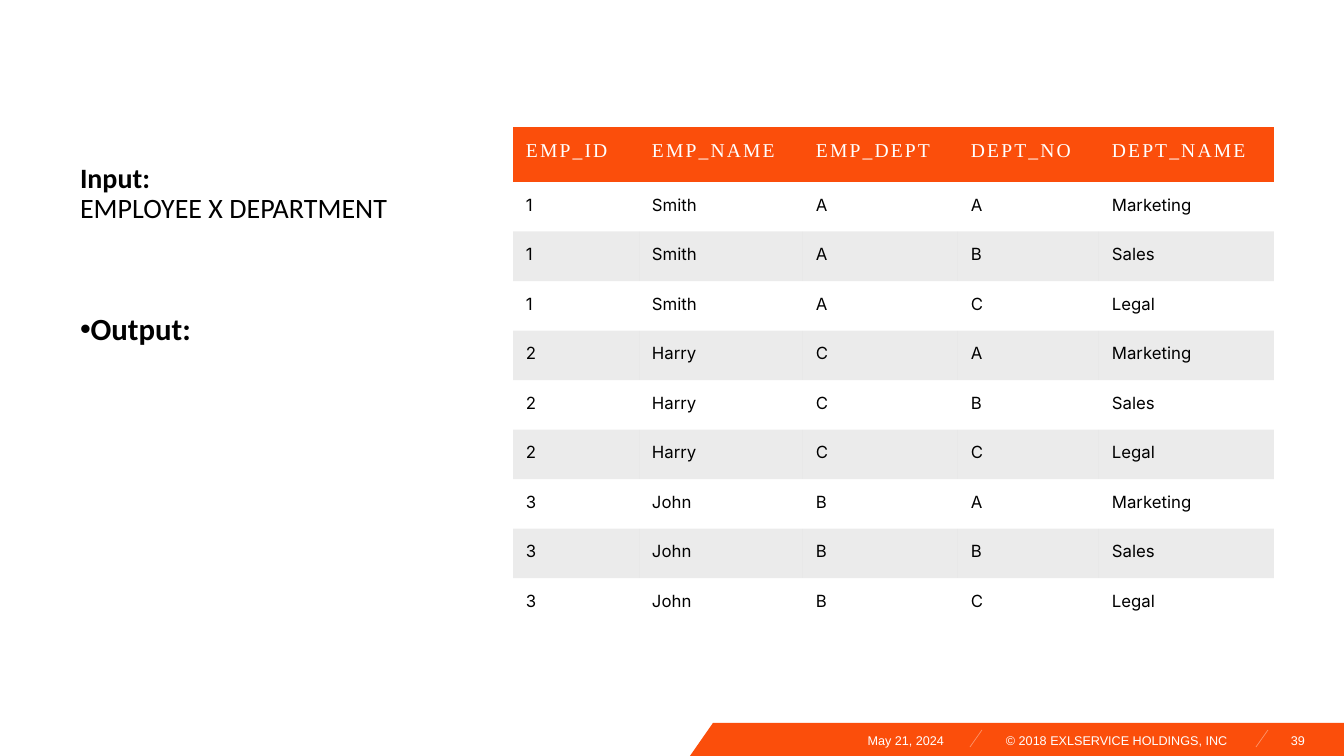
from lxml import etree
from pptx import Presentation
from pptx import util as u
from pptx.dml.color import RGBColor
from pptx.enum import shapes, text
from pptx.oxml.ns import qn

# Content
HEADERS = ["EMP_ID", "EMP_NAME", "EMP_DEPT", "DEPT_NO", "DEPT_NAME"]
EMPLOYEES = [("1", "Smith", "A"), ("2", "Harry", "C"), ("3", "John", "B")]
DEPARTMENTS = [("A", "Marketing"), ("B", "Sales"), ("C", "Legal")]
ROWS = [HEADERS] + [e + d for e in EMPLOYEES for d in DEPARTMENTS]
INPUT = [("Input:\v", True), ("EMPLOYEE X DEPARTMENT", False)]
OUTPUT = [("Output:", True)]
FOOTERS = [  # text, left, width, alignment
    ("May 21, 2024", 715, 229, text.PP_ALIGN.RIGHT),
    ("39", 1268, 37, text.PP_ALIGN.RIGHT),
    ("© 2018 EXLSERVICE HOLDINGS, INC", 1006, 229, text.PP_ALIGN.LEFT),
]

# Layout in px
WIDTH, HEIGHT = 1344, 756
BAND_TOP, BAND_LEFT, BAND_SLANT = 723, 690, 23
SLASHES = [970, 1256]
TABLE_LEFT, TABLE_TOP = 513, 127
COLUMNS = [126, 164, 155, 141, 175]
HEADER_HEIGHT, BODY_HEIGHT = 55, 446
CELL_INSET = 13
NO_TABLE_STYLE = "{2D5ABB26-0587-4C30-8999-92F81FD0307C}"

ORANGE = RGBColor(0xFB, 0x4E, 0x0B)
PALE_ORANGE = RGBColor(0xFC, 0x94, 0x6B)
WHITE = RGBColor(0xFF, 0xFF, 0xFF)
BLACK = RGBColor(0, 0, 0)


def px(length):
    return u.Emu(round(length * 914400 / 100.8))


def apply(target, **values):
    for name, value in values.items():
        setattr(target, name, value)


def add_span(para, words, size, face, color, bold=False):
    span = para.add_run()
    span.text = words
    apply(span.font, size=u.Pt(size), name=face, bold=bold)
    span.font.color.rgb = color
    return span


def add_box(page, area, inset, **frame_values):
    box = page.shapes.add_textbox(*map(px, area))
    sides = ("margin_left", "margin_top", "margin_right", "margin_bottom")
    apply(box.text_frame, word_wrap=True, **frame_values,
          **dict(zip(sides, map(px, inset))))
    return box.text_frame.paragraphs[0]


def add_heading(page, area, inset, spans, size, anchor):
    para = add_box(page, area, inset, vertical_anchor=anchor)
    apply(para, line_spacing=0.9, space_after=u.Pt(6))
    for words, bold in spans:
        # A vertical tab in the words becomes a line break
        head, *rest = words.split("\v")
        add_span(para, head, size, "Calibri", BLACK, bold)
        for _ in rest:
            para.add_line_break()
    return para


def add_footer(page):
    # Slanted band
    outline = page.shapes.build_freeform(px(BAND_LEFT + BAND_SLANT), px(BAND_TOP))
    corners = [(WIDTH, BAND_TOP), (WIDTH, HEIGHT), (BAND_LEFT, HEIGHT)]
    outline.add_line_segments([(px(x), px(y)) for x, y in corners], close=True)
    band = outline.convert_to_shape()
    band.shadow.inherit = False
    band.fill.solid()
    band.fill.fore_color.rgb = ORANGE
    band.line.fill.background()

    # Separators
    for left in SLASHES:
        slash = page.shapes.add_connector(
            shapes.MSO_CONNECTOR.STRAIGHT, px(left + 12), px(730), px(left), px(747))
        slash.line.color.rgb = PALE_ORANGE
        slash.line.width = u.Pt(0.5)
        etree.SubElement(slash._element.spPr, qn("a:effectLst"))

    # Date, page number and copyright
    for words, left, width, alignment in FOOTERS:
        para = add_box(page, (left, 733, width, 15), (0, 0, 0, 0))
        para.alignment = alignment
        add_span(para, words, 9, "Arial", WHITE)


def add_join_table(page):
    body_rows = len(ROWS) - 1
    table = page.shapes.add_table(
        len(ROWS), len(COLUMNS), px(TABLE_LEFT), px(TABLE_TOP),
        px(sum(COLUMNS)), px(HEADER_HEIGHT + BODY_HEIGHT)).table
    table.horz_banding = False
    table._tbl.tblPr.find(qn("a:tableStyleId")).text = NO_TABLE_STYLE
    for column, width in zip(table.columns, COLUMNS):
        column.width = px(width)
    for r, values in enumerate(ROWS):
        table.rows[r].height = px(BODY_HEIGHT / body_rows if r else HEADER_HEIGHT)
        for c, words in enumerate(values):
            cell = table.cell(r, c)
            inset = px(CELL_INSET)
            apply(cell, margin_left=inset, margin_right=inset,
                  margin_top=inset, margin_bottom=inset)
            para = cell.text_frame.paragraphs[0]
            if r == 0:
                span = add_span(para, words, 14, "Times New Roman", WHITE)
                span.font._element.set("spc", "150")
                cell.fill.solid()
                cell.fill.fore_color.rgb = ORANGE
                continue
            para.alignment = text.PP_ALIGN.JUSTIFY
            add_span(para, words, 12, "Inter", BLACK)
            if r % 2:
                cell.fill.background()
            else:
                cell.fill.solid()
                cell.fill.fore_color.rgb = BLACK
                color = cell._tc.tcPr.find(".//" + qn("a:srgbClr"))
                etree.SubElement(color, qn("a:alpha"), val="8000")


def main():
    deck = Presentation()
    apply(deck, slide_width=px(WIDTH), slide_height=px(HEIGHT))
    page = deck.slides.add_slide(deck.slide_layouts[6])
    add_footer(page)

    # Input and output headings
    add_heading(page, (70, 71, 378, 189), (10, 5, 10, 35), INPUT, 20,
                text.MSO_ANCHOR.BOTTOM)
    output = add_heading(page, (70, 309, 378, 376), (10, 5, 10, 5), OUTPUT, 22,
                         text.MSO_ANCHOR.TOP)
    properties = output._p.get_or_add_pPr()
    properties.set("marL", "0")
    properties.set("indent", str(-u.Inches(0.25)))
    etree.SubElement(properties, qn("a:buFont"), typeface="Arial")
    etree.SubElement(properties, qn("a:buChar"), char="•")

    add_join_table(page)
    deck.save("out.pptx")


if __name__ == "__main__":
    main()
